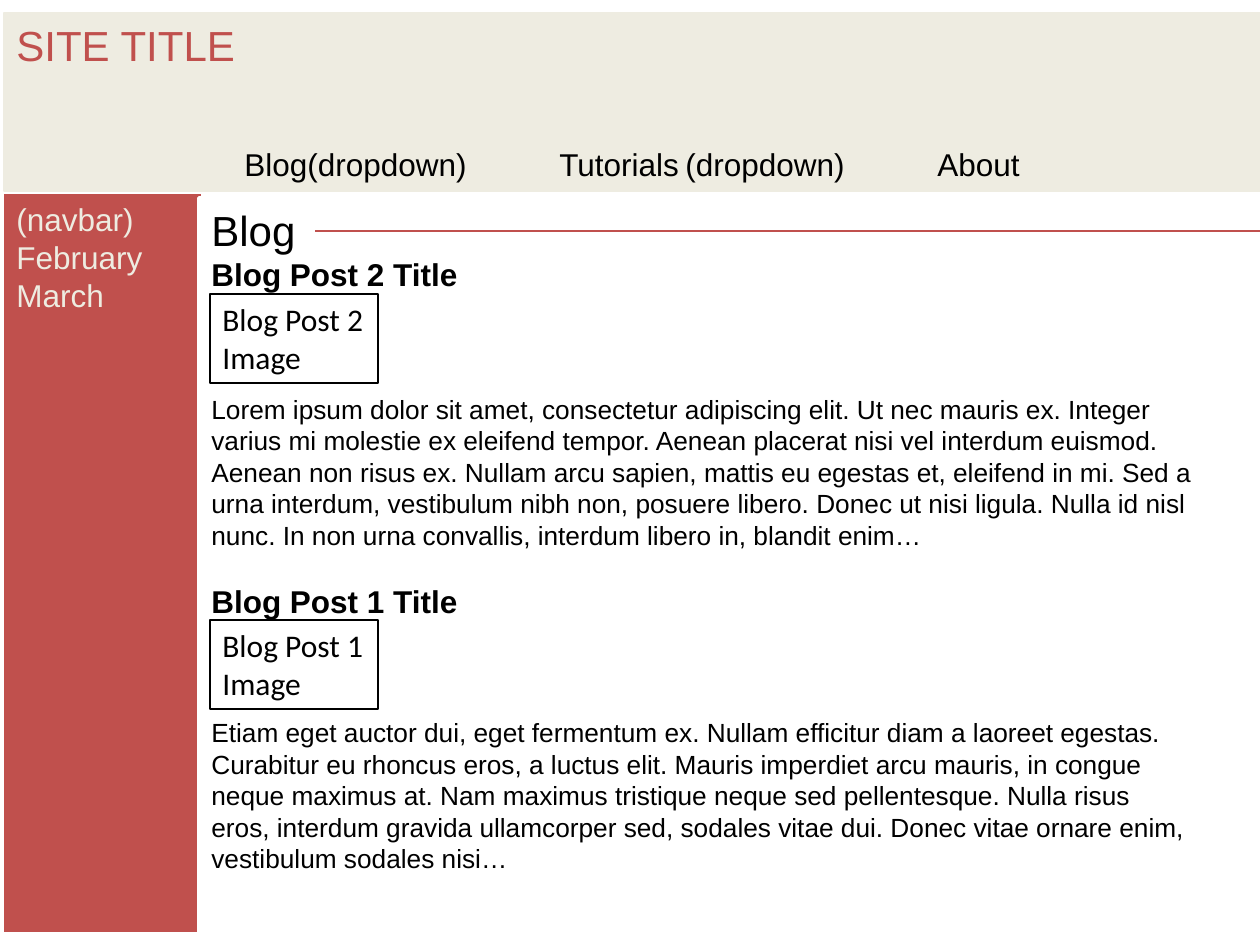
from lxml import etree
from pptx import Presentation
from pptx.dml.color import RGBColor
from pptx.enum import shapes, text
from pptx.oxml.ns import qn
from pptx import util as u

PX = 914400 / 126
LEADING = 1.2
RED, CREAM, BLACK, WHITE = "C0504D", "EEECE1", "000000", "FFFFFF"

HEADER = [
    dict(text="SITE TITLE", size=24, color=RED),
    dict(text="Blog(dropdown)\t\tTutorials\t(dropdown)\t\tAbout", gap=36, center=True),
]
NAVBAR = [dict(text=t, color=CREAM) for t in ("(navbar)", "February", "March")]
POSTS = [
    dict(title="Blog Post 2 Title", before=0, image="Blog Post 2", image_top=294, image_gap=48,
         body="Lorem ipsum dolor sit amet, consectetur adipiscing elit. Ut nec mauris ex. "
              "Integer varius mi molestie ex eleifend tempor. Aenean placerat nisi vel interdum "
              "euismod. Aenean non risus ex. Nullam arcu sapien, mattis eu egestas et, eleifend "
              "in mi. Sed a urna interdum, vestibulum nibh non, posuere libero. Donec ut nisi "
              "ligula. Nulla id nisl nunc. In non urna convallis, interdum libero in, blandit enim…"),
    dict(title="Blog Post 1 Title", before=15, image="Blog Post 1", image_top=620, image_gap=46,
         body="Etiam eget auctor dui, eget fermentum ex. Nullam efficitur diam a laoreet egestas. "
              "Curabitur eu rhoncus eros, a luctus elit. Mauris imperdiet arcu mauris, in congue "
              "neque maximus at. Nam maximus tristique neque sed pellentesque. Nulla risus eros, "
              "interdum gravida ullamcorper sed, sodales vitae dui. Donec vitae ornare enim, "
              "vestibulum sodales nisi…"),
]


def px(n):
    return round(n * PX)


def rgb(value):
    return RGBColor.from_string(value)


def add_box(slide, box, paragraphs, fill=None, line=None, width=0.75, font="Arial", leading=LEADING):
    sp = slide.shapes.add_shape(shapes.MSO_SHAPE.RECTANGLE, *map(px, box))
    sp.shadow.inherit = False
    if fill:
        sp.fill.solid()
        sp.fill.fore_color.rgb = rgb(fill)
    else:
        sp.fill.background()
    if line:
        sp.line.color.rgb = rgb(line)
        sp.line.width = u.Pt(width)
    else:
        sp.line.fill.background()
    tf = sp.text_frame
    tf.word_wrap = True
    tf.vertical_anchor = text.MSO_ANCHOR.TOP
    for i, item in enumerate(paragraphs):
        p = tf.paragraphs[0] if i == 0 else tf.add_paragraph()
        size = item.get("size", 18)
        p.text = item["text"]
        p.alignment = text.PP_ALIGN.CENTER if item.get("center") else text.PP_ALIGN.LEFT
        p.space_before = u.Pt(item.get("gap", 0) * LEADING)
        if leading:
            p.line_spacing = u.Pt(size * leading)
        p.font.name = font
        p.font.size = u.Pt(size)
        p.font.bold = item.get("bold", False)
        p.font.color.rgb = rgb(item.get("color", BLACK))
    return sp


def add_rule(slide, x1, x2, y):
    rule = slide.shapes.add_connector(shapes.MSO_CONNECTOR.STRAIGHT, px(x1), px(y), px(x2), px(y))
    rule.line.color.rgb = rgb(RED)
    rule.line.width = u.Pt(0.75)
    etree.SubElement(rule._element.spPr, qn("a:effectLst"))


def main():
    prs = Presentation()
    prs.slide_width, prs.slide_height = px(1260), px(945)
    slide = prs.slides.add_slide(prs.slide_layouts[6])

    add_box(slide, (4, 13, 1256, 178), HEADER, CREAM, CREAM)
    add_box(slide, (4, 194, 197, 738), NAVBAR, RED)

    content = [dict(text="Blog", size=24)]
    for post in POSTS:
        content += [dict(text=post["title"], bold=True, gap=post["before"]),
                    dict(text=post["body"], size=15, gap=post["image_gap"])]
    add_box(slide, (199, 198, 1008, 738), content, WHITE, WHITE, 2)

    for post in POSTS:
        caption = [dict(text=post["image"]), dict(text="Image")]
        add_box(slide, (210, post["image_top"], 168, 89), caption,
                line=BLACK, font="Calibri", leading=None)

    add_rule(slide, 315, 1260, 231)
    prs.save("out.pptx")


if __name__ == "__main__":
    main()
